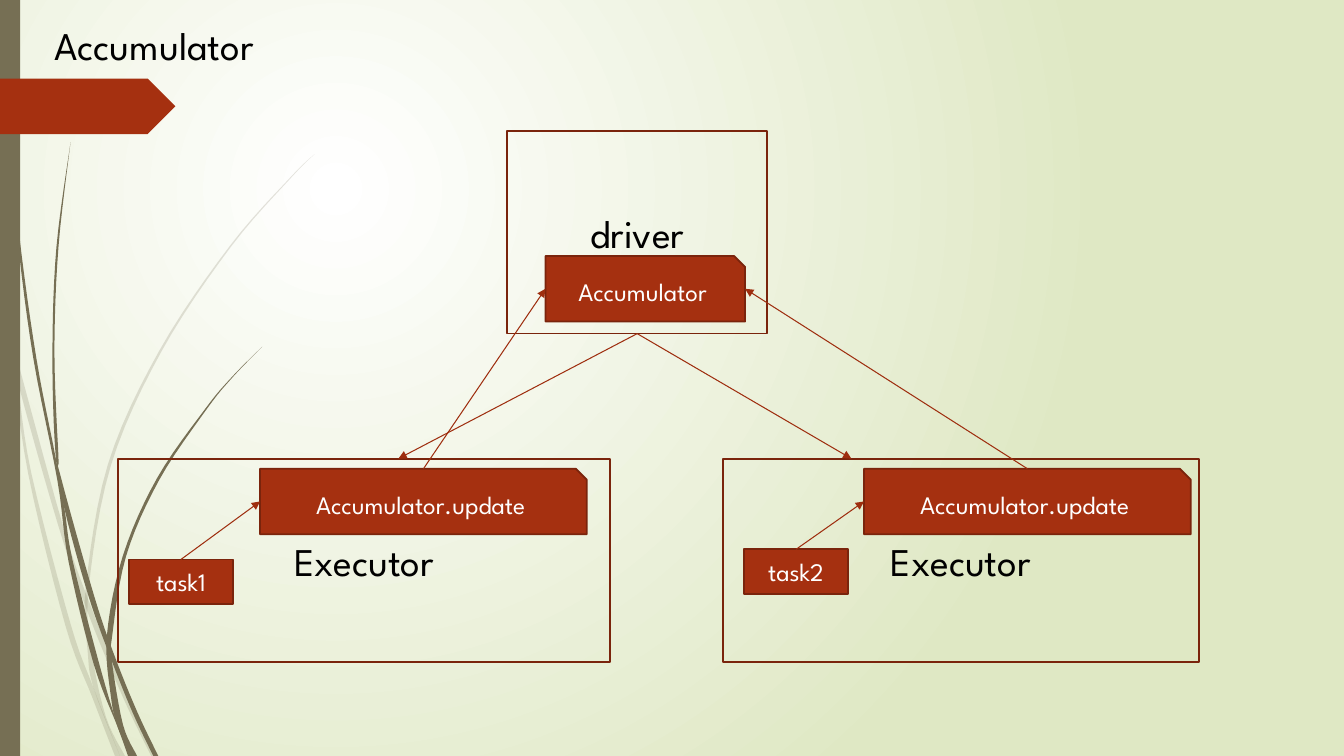
"""Build the Accumulator slide: a driver, two executors and their update arrows."""
from dataclasses import dataclass
from typing import Any, NamedTuple

from lxml import etree
from pptx import Presentation, util as u
from pptx.dml.color import RGBColor
from pptx.enum import shapes, text
from pptx.oxml import ns

COLUMNS, ROWS = 133.3, 75
CELL = u.Inches(0.1)
CURVE_STEPS = 6

Point = tuple[float, float]


@dataclass(frozen=True)
class Theme:
    font: str = "League Spartan"
    ink: str = "000000"
    paper: str = "FFFFFF"
    haze: str = "DFE8C4"
    stem: str = "766F54"
    accent: str = "A53010"
    border: str = "7A240C"
    arrow: str = "9E2E0F"
    heading_size: int = 28
    label_size: int = 18
    border_width: float = 1.25
    arrow_width: float = 0.75


THEME = Theme()


class Node(NamedTuple):
    label: str
    column: float
    row: float
    columns: float
    rows: float
    outline: shapes.MSO_SHAPE = shapes.MSO_SHAPE.RECTANGLE
    filled: bool = True

    def port(self, share: Point) -> Point:
        return self.column + self.columns * share[0], self.row + self.rows * share[1]


class Arrow(NamedTuple):
    source: Node
    source_share: Point
    target: Node
    target_share: Point


class Blade(NamedTuple):
    outer: list[Point]
    inner: list[Point]
    opacity: int


TOP, BOTTOM, LEFT, RIGHT = (0.5, 0), (0.5, 1), (0, 0.5), (1, 0.5)
SNIP = shapes.MSO_SHAPE.SNIP_1_RECTANGLE

driver = Node("driver", 50.3, 13, 25.8, 20.1, filled=False)
executor1 = Node("Executor", 11.7, 45.5, 48.8, 20.2, filled=False)
executor2 = Node("Executor", 71.7, 45.5, 47.2, 20.2, filled=False)
accumulator = Node("Accumulator", 54.1, 25.4, 19.8, 6.5, SNIP)
task1 = Node("task1", 12.8, 55.5, 10.3, 4.4)
task2 = Node("task2", 73.8, 54.5, 10.3, 4.4)
update1 = Node("Accumulator.update", 25.8, 46.5, 32.4, 6.5, SNIP)
update2 = Node("Accumulator.update", 85.7, 46.5, 32.4, 6.5, SNIP)

FRAMES = [driver, executor1, executor2]
PARTS = [accumulator, task1, task2, update1, update2]
BROADCASTS = [Arrow(driver, BOTTOM, executor1, (0.57, 0)),
              Arrow(driver, BOTTOM, executor2, (0.27, 0))]
UPDATES = [Arrow(update1, TOP, accumulator, LEFT), Arrow(update2, TOP, accumulator, RIGHT),
           Arrow(task1, TOP, update1, LEFT), Arrow(task2, TOP, update2, LEFT)]

BLADES = [
    Blade([(0, 28.2), (0.9, 32.2), (1.1, 35)], [(0, 29.9), (1, 34.4), (1.1, 35)], 20),
    Blade([(1.4, 34.5), (6.2, 52), (8.8, 59.6), (12.7, 69.2), (15.5, 75)],
          [(1.4, 34.5), (1.7, 37.6), (5.8, 52.2), (8.8, 61), (12.3, 69.4), (15, 75)], 20),
    Blade([(1.1, 35), (1.7, 37.6), (3.1, 46.9), (7, 61.9), (9.3, 68.3), (11.9, 75)],
          [(1.1, 35), (2.8, 47), (6.5, 62.1), (9.2, 69.3), (11.4, 75)], 20),
    Blade([(31.2, 15.3), (28.9, 17.5), (22.8, 24.4), (15.8, 34.8), (10.7, 46.1),
           (8.5, 58.4), (8.7, 64.6), (9.3, 68.3), (11.9, 75)],
          [(31.2, 15.3), (29, 17.5), (22.9, 24.5), (16, 34.9), (11, 46.2),
           (8.8, 58.4), (9.1, 64.6), (10.5, 71.1), (12.4, 75)], 20),
    Blade([(0.4, 0), (0.8, 10.9), (1.9, 23.2), (3.6, 35.5), (5.5, 45.3), (6.4, 50.5),
           (7.2, 55.6), (9.8, 65.7), (11.6, 71.7), (13.1, 75)],
          [(0.3, 0), (0.7, 11), (1.7, 23.3), (3.3, 35.5), (5.7, 47.7),
           (6.8, 55.7), (9.3, 65.9), (11.7, 72.2), (12.7, 75)], 100),
    Blade([(7, 14.1), (5.6, 24.5), (5.2, 34.9), (5.5, 44.9), (6.4, 50.5),
           (8.8, 59.2), (11.1, 65.6), (13.2, 70.8), (15.2, 75)],
          [(7, 14.1), (5.8, 24.5), (5.4, 34.9), (5.8, 45.3), (6, 47.2),
           (9.3, 59), (11.3, 64.9), (13.6, 70.6), (15.7, 75)], 100),
    Blade([(26, 34.4), (23.1, 37.3), (20.4, 40.5), (15.6, 47.4), (12.2, 55.1),
           (10.6, 63.1), (11, 69.1), (11.7, 72.2), (13, 75)],
          [(26, 34.4), (23.1, 37.4), (20.5, 40.6), (15.8, 47.6), (12.5, 55.2),
           (11.1, 63.3), (11.1, 65.6), (12.2, 71.9), (13.6, 75)], 100),
]


def cells(*counts: float) -> list[int]:
    return [round(count * CELL) for count in counts]


def rgb(code: str) -> RGBColor:
    return RGBColor.from_string(code)


def apply_format(target: Any, values: dict[str, Any]) -> None:
    for attribute, value in values.items():
        setattr(target, attribute, value)


def smooth(knots: list[Point]) -> list[Point]:
    padded = [knots[0], *knots, knots[-1]]
    curve = [knots[0]]
    for a, b, c, d in zip(padded, padded[1:], padded[2:], padded[3:]):
        for step in range(1, CURVE_STEPS + 1):
            t = step / CURVE_STEPS
            curve.append(tuple(
                q + 0.5 * t * (r - p + t * (2 * p - 5 * q + 4 * r - s + t * (3 * (q - r) + s - p)))
                for p, q, r, s in zip(a, b, c, d)))
    return curve


def paint(shape: Any, fill: str | None, border: str | None = None) -> None:
    shape.shadow.inherit = False
    if fill:
        shape.fill.solid()
        shape.fill.fore_color.rgb = rgb(fill)
    else:
        shape.fill.background()
    if border:
        shape.line.color.rgb = rgb(border)
        shape.line.width = u.Pt(THEME.border_width)
    else:
        shape.line.fill.background()


def write(frame: Any, label: str, size: int, color: str, align: text.PP_ALIGN) -> None:
    paragraph = frame.paragraphs[0]
    paragraph.alignment = align
    run = paragraph.add_run()
    run.text = label
    apply_format(run.font, {"name": THEME.font, "size": u.Pt(size)})
    run.font.color.rgb = rgb(color)


def draw_background(slide: Any) -> None:
    fill = slide.background.fill
    fill.gradient()
    for stop, color in zip(fill.gradient_stops, (THEME.paper, THEME.haze)):
        stop.color.rgb = rgb(color)
    gradient = slide.element.find(".//" + ns.qn("a:gradFill"))
    gradient.remove(gradient.find(ns.qn("a:lin")))
    circle = etree.SubElement(gradient, ns.qn("a:path"), {"path": "circle"})
    etree.SubElement(circle, ns.qn("a:fillToRect"),
                     {"l": "50000", "t": "50000", "r": "100000", "b": "100000"})


def draw_blade(slide: Any, blade: Blade) -> None:
    rim = [cells(*point) for point in smooth(blade.outer) + smooth(blade.inner)[::-1]]
    builder = slide.shapes.build_freeform(*rim[0])
    builder.add_line_segments(rim[1:], close=True)
    grass = builder.convert_to_shape()
    paint(grass, THEME.stem)
    if blade.opacity < 100:
        tint = grass.element.spPr.find(ns.qn("a:solidFill"))[0]
        etree.SubElement(tint, ns.qn("a:alpha"), {"val": str(blade.opacity * 1000)})


def draw_node(slide: Any, node: Node) -> None:
    box = slide.shapes.add_shape(
        node.outline, *cells(node.column, node.row, node.columns, node.rows))
    paint(box, THEME.accent if node.filled else None, THEME.border)
    apply_format(box.text_frame, {"word_wrap": True, "vertical_anchor": text.MSO_ANCHOR.MIDDLE})
    size, color = ((THEME.label_size, THEME.paper) if node.filled
                   else (THEME.heading_size, THEME.ink))
    write(box.text_frame, node.label, size, color, text.PP_ALIGN.CENTER)


def draw_arrow(slide: Any, arrow: Arrow) -> None:
    start, end = arrow.source.port(arrow.source_share), arrow.target.port(arrow.target_share)
    link = slide.shapes.add_connector(shapes.MSO_CONNECTOR.STRAIGHT, *cells(*start, *end))
    link.line.color.rgb = rgb(THEME.arrow)
    link.line.width = u.Pt(THEME.arrow_width)
    etree.SubElement(link.line._get_or_add_ln(), ns.qn("a:tailEnd"), {"type": "triangle"})
    etree.SubElement(link.element.spPr, ns.qn("a:effectLst"))


def main() -> None:
    deck = Presentation()
    deck.slide_width, deck.slide_height = cells(COLUMNS, ROWS)
    slide = deck.slides.add_slide(deck.slide_layouts[6])
    draw_background(slide)
    for blade in BLADES:
        draw_blade(slide, blade)
    paint(slide.shapes.add_shape(shapes.MSO_SHAPE.RECTANGLE, *cells(0, 0, 2, ROWS)), THEME.stem)
    flag = slide.shapes.add_shape(shapes.MSO_SHAPE.PENTAGON, *cells(0, 7.8, 17.4, 5.5))
    paint(flag, THEME.accent)
    title = slide.shapes.add_textbox(*cells(4.4, 1.6, 27, 5.7)).text_frame
    apply_format(title, {"word_wrap": False, "auto_size": text.MSO_AUTO_SIZE.SHAPE_TO_FIT_TEXT})
    write(title, "Accumulator", THEME.heading_size, THEME.ink, text.PP_ALIGN.LEFT)
    for items, draw in ((FRAMES, draw_node), (BROADCASTS, draw_arrow),
                        (PARTS, draw_node), (UPDATES, draw_arrow)):
        for item in items:
            draw(slide, item)
    deck.save("out.pptx")


if __name__ == "__main__":
    main()
